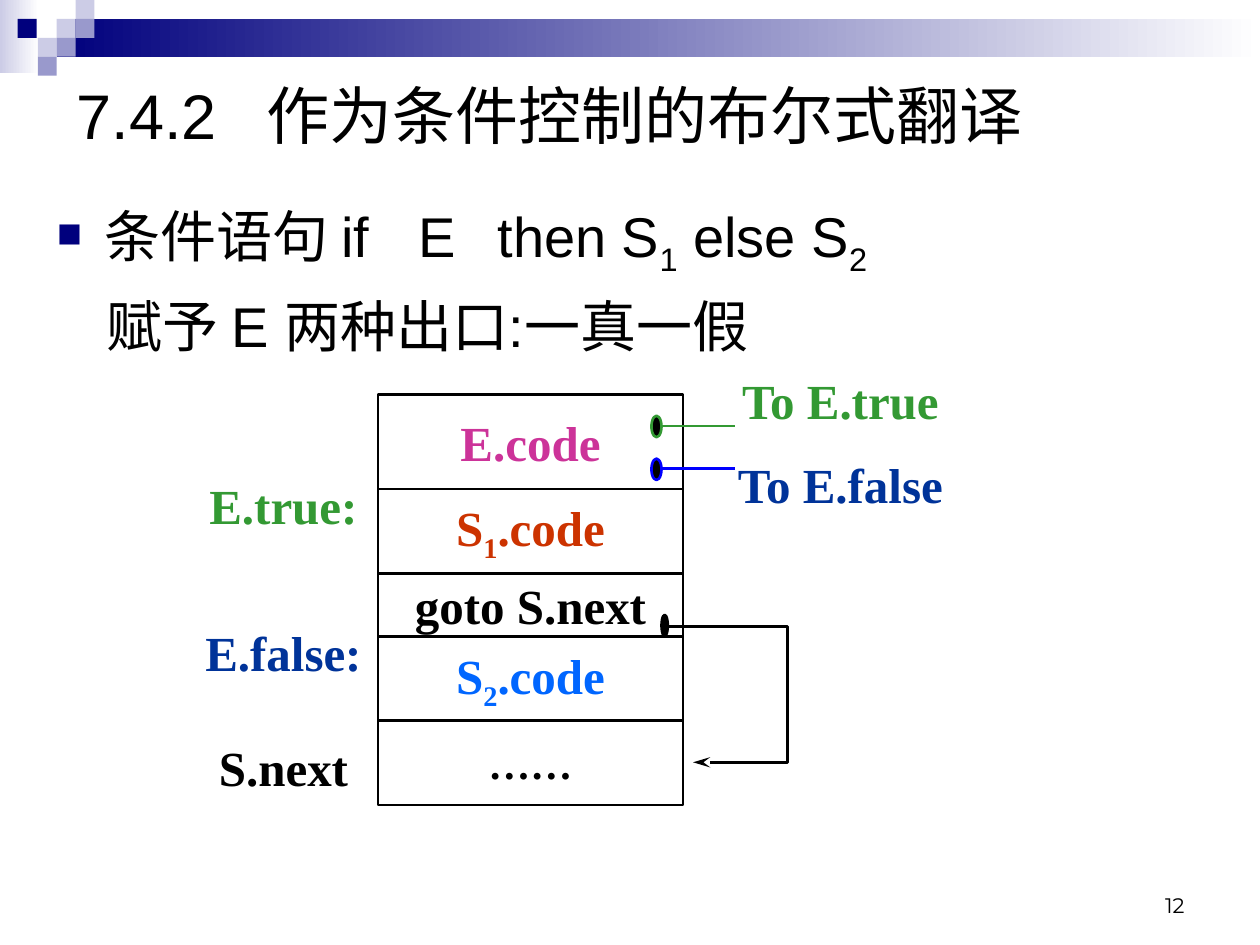
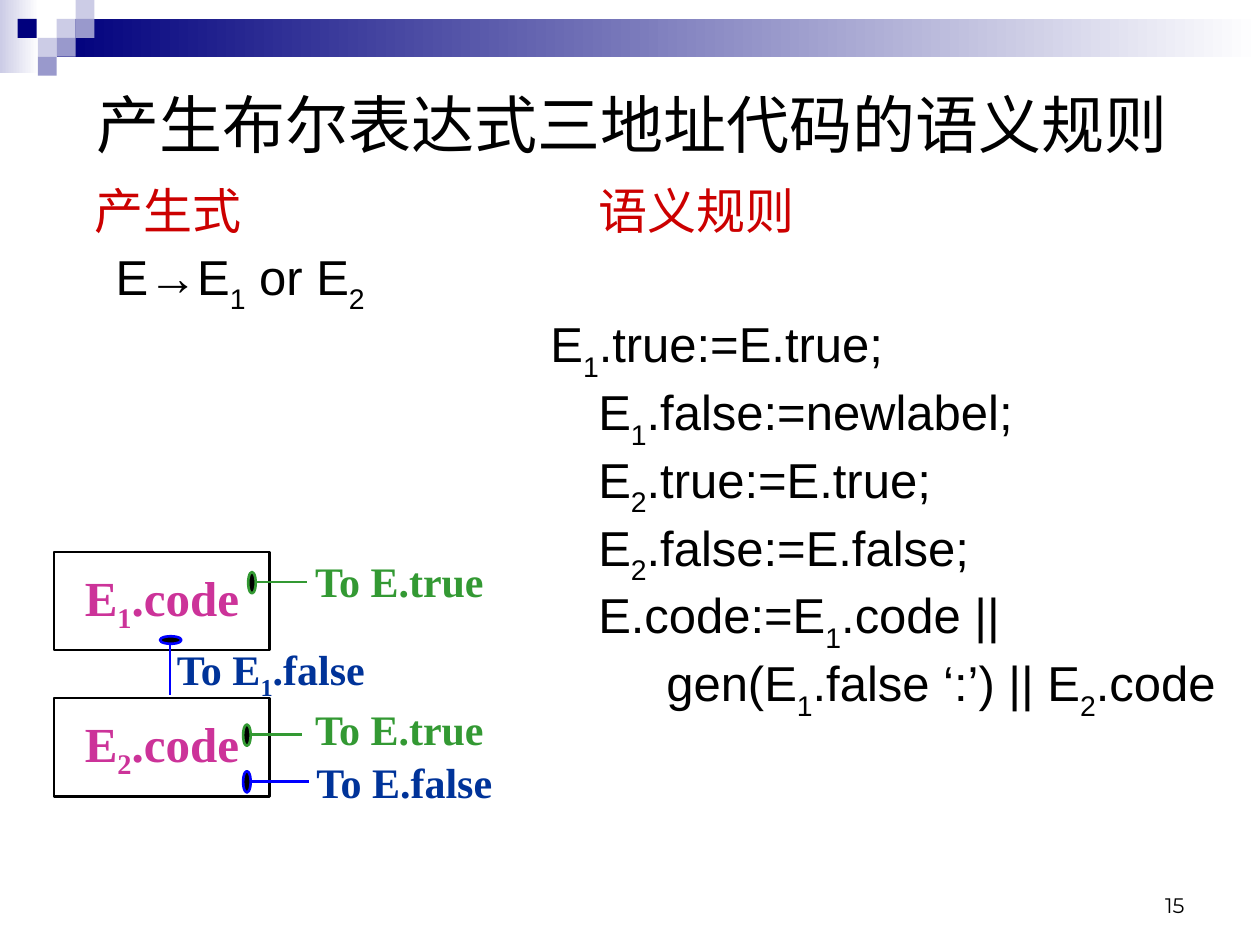
from dataclasses import dataclass
from typing import Optional

from lxml import etree
from pptx import Presentation
from pptx import util as u
from pptx.dml.color import RGBColor
from pptx.enum import shapes, text
from pptx.oxml.ns import qn

NAVY, LILAC, PALE, WHITE = "00007D", "9999CC", "CCCCE6", "FFFFFF"
BLACK, RED, PINK, RUST = "000000", "CC0000", "CC3399", "CC3300"
GREEN, BLUE, DEEP, SKY = "339933", "0000FF", "003399", "0066FF"
SANS, SERIF, NUM = "Arial", "Times New Roman", "Montserrat"
RECT, OVAL = shapes.MSO_SHAPE.RECTANGLE, shapes.MSO_SHAPE.OVAL
LEFT, MID, RIGHT = text.PP_ALIGN.LEFT, text.PP_ALIGN.CENTER, text.PP_ALIGN.RIGHT
TOP, CENTRE, BASE = (text.MSO_ANCHOR.TOP, text.MSO_ANCHOR.MIDDLE,
                     text.MSO_ANCHOR.BOTTOM)
TILE = 0.15


@dataclass
class Box:
    x: float
    y: float
    w: float
    h: float

    def emu(self) -> list:
        return [u.Inches(v) for v in (self.x, self.y, self.w, self.h)]


@dataclass
class Tile:
    x: float
    y: float
    fill: str


@dataclass
class Cell:
    words: str
    h: float
    color: str
    size: int = 28


@dataclass
class Label:
    words: str
    box: Box
    color: str


@dataclass
class Port:
    """A dot with a wire from (x, y) to end, rightwards or down."""
    x: float
    y: float
    end: float
    color: str
    w: float = 0.06
    down: bool = False


@dataclass
class Line:
    """A body paragraph; margin, first-line indent and tabs in inches."""
    words: str
    margin: float = 0
    first: float = 0
    color: str = BLACK
    tabs: tuple = ()
    bullet: bool = False


TILES = [Tile(0.45, 0.15, PALE), Tile(0.6, 0, PALE), Tile(0.6, 0.15, LILAC),
         Tile(0.3, 0.3, PALE), Tile(0.14, 0.15, NAVY), Tile(0.45, 0.3, LILAC),
         Tile(0.3, 0.45, LILAC)]


def rgb(color: str) -> RGBColor:
    return RGBColor.from_string(color)


def sub(node, tag: str, **attrs: str):
    return etree.SubElement(node, qn(tag), attrs)


def write(para, words: str, *, size: float, color: str = BLACK,
          font: str = SANS, bold: bool = False, align=LEFT,
          drop: int = -25) -> None:
    """Add runs to a paragraph; the character after each _ is a subscript."""
    def run(part: str, low: bool = False) -> None:
        if not part:
            return
        r = para.add_run()
        r.text = part
        r.font.size, r.font.name, r.font.bold = u.Pt(size), font, bold
        r.font.color.rgb = rgb(color)
        if low:
            r.font._element.set("baseline", str(drop * 1000))

    para.alignment = align
    head, *rest = words.split("_")
    run(head)
    for part in rest:
        run(part[0], True)
        run(part[1:])


def shape(slide, kind, box: Box, fill: Optional[str] = None,
          line: Optional[str] = None, fade: bool = False):
    item = slide.shapes.add_shape(kind, *box.emu())
    paint(item, fill, line, fade)
    return item


def paint(item, fill: Optional[str], line: Optional[str],
          fade: bool = False) -> None:
    item.shadow.inherit = False
    if fade:
        item.fill.gradient()
        item.fill.gradient_angle = 0
        for stop, tone in zip(item.fill.gradient_stops, (fill, WHITE)):
            stop.color.rgb = rgb(tone)
    elif fill:
        item.fill.solid()
        item.fill.fore_color.rgb = rgb(fill)
    else:
        item.fill.background()
    if line:
        item.line.color.rgb = rgb(line)
        item.line.width = u.Pt(1.5)
    else:
        item.line.fill.background()


def frame(item, anchor, wrap: bool = True):
    tf = item.text_frame
    tf.word_wrap, tf.vertical_anchor = wrap, anchor
    return tf


def textbox(slide, box: Box, anchor=CENTRE, wrap: bool = True):
    return frame(slide.shapes.add_textbox(*box.emu()), anchor, wrap)


def set_tabs(props, stops: tuple) -> None:
    if stops:
        tabs = sub(props, "a:tabLst")
        for stop in stops:
            sub(tabs, "a:tab", pos=str(u.Inches(stop)), algn="l")


def base(prs, title: str, box: Box, number: int, tabs: tuple = ()):
    """Add a slide with its band, tiles, page number and title."""
    slide = prs.slides.add_slide(prs.slide_layouts[6])
    shape(slide, RECT, Box(0, 0, 0.31, 0.58), PALE, fade=True)
    shape(slide, RECT, Box(0.45, 0.15, 9.55, 0.3), NAVY, fade=True)
    for t in TILES:
        shape(slide, RECT, Box(t.x, t.y, TILE, TILE), t.fill)
    page = textbox(slide, Box(7.17, 6.83, 2.33, 0.5), BASE)
    write(page.paragraphs[0], str(number), size=12, font=NUM, align=RIGHT)
    para = textbox(slide, box).paragraphs[0]
    set_tabs(para._p.get_or_add_pPr(), tabs)
    write(para, title, size=36)
    return slide


def body(slide, box: Box, lines: list, *, size: int, gap: int,
         pitch: float = 1.0, drop: int = -25) -> None:
    tf = textbox(slide, box, TOP)
    for i, line in enumerate(lines):
        para = tf.add_paragraph() if i else tf.paragraphs[0]
        props = para._p.get_or_add_pPr()
        props.set("marL", str(u.Inches(line.margin)))
        props.set("indent", str(u.Inches(line.first)))
        if line.bullet:
            sub(sub(props, "a:buClr"), "a:srgbClr", val=NAVY)
            sub(props, "a:buSzPct", val="62000")
            sub(props, "a:buChar", char="■")
        set_tabs(props, line.tabs)
        para.line_spacing = pitch
        para.space_before = u.Pt(gap if i else 0)
        write(para, line.words, size=size, color=line.color, drop=drop)


def cell(slide, box: Box, c: Cell) -> None:
    tf = frame(shape(slide, RECT, box, line=BLACK), CENTRE, False)
    write(tf.paragraphs[0], c.words, size=c.size, color=c.color, font=SERIF,
          bold=True, align=MID)


def label(slide, item: Label, size: int) -> None:
    tf = textbox(slide, item.box, wrap=False)
    tf.margin_left = tf.margin_right = 0
    write(tf.paragraphs[0], item.words, size=size, color=item.color,
          font=SERIF, bold=True, align=MID)


def port(slide, p: Port) -> None:
    stop = (p.x, p.end) if p.down else (p.end, p.y)
    wire = slide.shapes.add_connector(
        shapes.MSO_CONNECTOR.STRAIGHT,
        *[u.Inches(v) for v in (p.x, p.y, *stop)])
    wire.line.color.rgb = rgb(p.color)
    wire.line.width = u.Pt(1.5)
    sub(wire._element.spPr, "a:effectLst")
    if p.down:
        dot = Box(p.x - 0.08, p.y - p.w, 0.17, p.w)
    else:
        dot = Box(p.x - p.w, p.y - 0.08, p.w, 0.17)
    shape(slide, OVAL, dot, BLACK, p.color)


def jump(slide) -> None:
    """Draw the arrow from goto S.next to the code that follows."""
    points = [(u.Inches(x), u.Inches(y)) for x, y in
              ((5.3, 4.97), (6.25, 4.97), (6.25, 6.05), (5.5, 6.05))]
    pen = slide.shapes.build_freeform(*points[0])
    pen.add_line_segments(points[1:], close=False)
    arrow = pen.convert_to_shape()
    paint(arrow, None, BLACK)
    sub(arrow.line._get_or_add_ln(), "a:tailEnd", type="stealth", len="lg")
    shape(slide, OVAL, Box(5.25, 4.88, 0.05, 0.17), BLACK, BLACK)


def branch(prs) -> None:
    slide = base(prs, "7.4.2\t作为条件控制的布尔式翻译",
                 Box(0.51, 0.28, 8.67, 1.25), 12, (1.51,))
    body(slide, Box(0.35, 1.55, 8.65, 1.42), [
        Line("条件语句 if\tE\tthen S_1 else S_2", 0.38, -0.38,
             tabs=(2.25, 2.87), bullet=True),
        Line("赋予 E 两种出口:一真一假", 0.4),
    ], size=32, gap=8)
    top = 3.13
    for c in (Cell("E.code", 0.75, PINK), Cell("S_1.code", 0.67, RUST),
              Cell("goto S.next", 0.5, BLACK), Cell("S_2.code", 0.67, SKY),
              Cell("……", 0.67, BLACK, 24)):
        cell(slide, Box(3, top, 2.42, c.h), c)
        top += c.h
    for y, color in ((3.38, GREEN), (3.72, BLUE)):
        port(slide, Port(5.25, y, 5.83, color, 0.08))
    jump(slide)
    for words, x, y, color in (
            ("To E.true", 5.82, 2.88, GREEN), ("To E.false", 5.82, 3.55, DEEP),
            ("E.true:", 1.4, 3.72, GREEN), ("E.false:", 1.4, 4.88, DEEP),
            ("S.next", 1.4, 5.8, BLACK)):
        label(slide, Label(words, Box(x, y, 1.7, 0.58), color), 28)


def rules(prs) -> None:
    slide = base(prs, "产生布尔表达式三地址代码的语义规则",
                 Box(0.67, 0.37, 9.08, 1.21), 15)
    left, top, col = 0.27, 1.47, 4.38
    style = dict(size=28, gap=7, pitch=0.8, drop=-30)
    body(slide, Box(left, top, 9.73, 4.92), [
        Line("产生式", 0.38, color=RED),
        Line("E→E_1 or E_2", 0.55),
        Line("E_1.true:=E.true;", 4),
        Line("E_1.false:=newlabel;", col),
        Line("E_2.true:=E.true;", col),
        Line("E_2.false:=E.false;", col),
        Line("E.code:=E_1.code ||", col),
        Line("gen(E_1.false ‘:’) || E_2.code", 4.92),
    ], **style)
    body(slide, Box(left + col, top, 2.5, 0.55),
         [Line("语义规则", color=RED)], **style)
    for i, y in enumerate((4.38, 5.54), 1):
        cell(slide, Box(0.43, y, 1.71, 0.78), Cell(f"E_{i}.code", 0.78, PINK))
    for p in (Port(2.03, 4.62, 2.44, GREEN),
              Port(1.35, 5.11, 5.52, BLUE, down=True),
              Port(1.99, 5.83, 2.4, GREEN), Port(1.99, 6.2, 2.45, BLUE)):
        port(slide, p)
    for words, x, y, color in (
            ("To E.true", 2.37, 4.3, GREEN), ("To E_1.false", 1.35, 5.03, DEEP),
            ("To E.true", 2.37, 5.48, GREEN), ("To E.false", 2.41, 5.9, DEEP)):
        label(slide, Label(words, Box(x, y, 1.6, 0.61), color), 24)


def main() -> None:
    prs = Presentation()
    prs.slide_width, prs.slide_height = u.Inches(10), u.Inches(7.5)
    branch(prs)
    rules(prs)
    prs.save("out.pptx")


if __name__ == "__main__":
    main()
